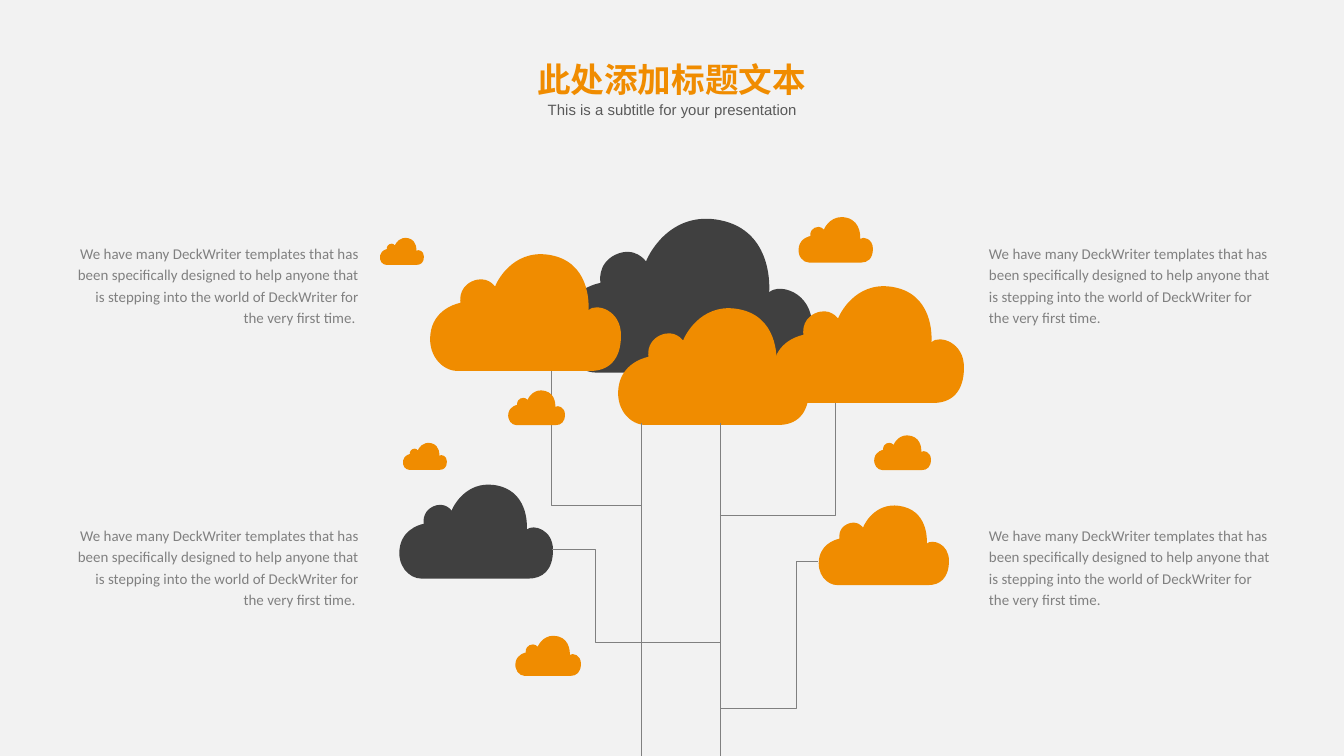
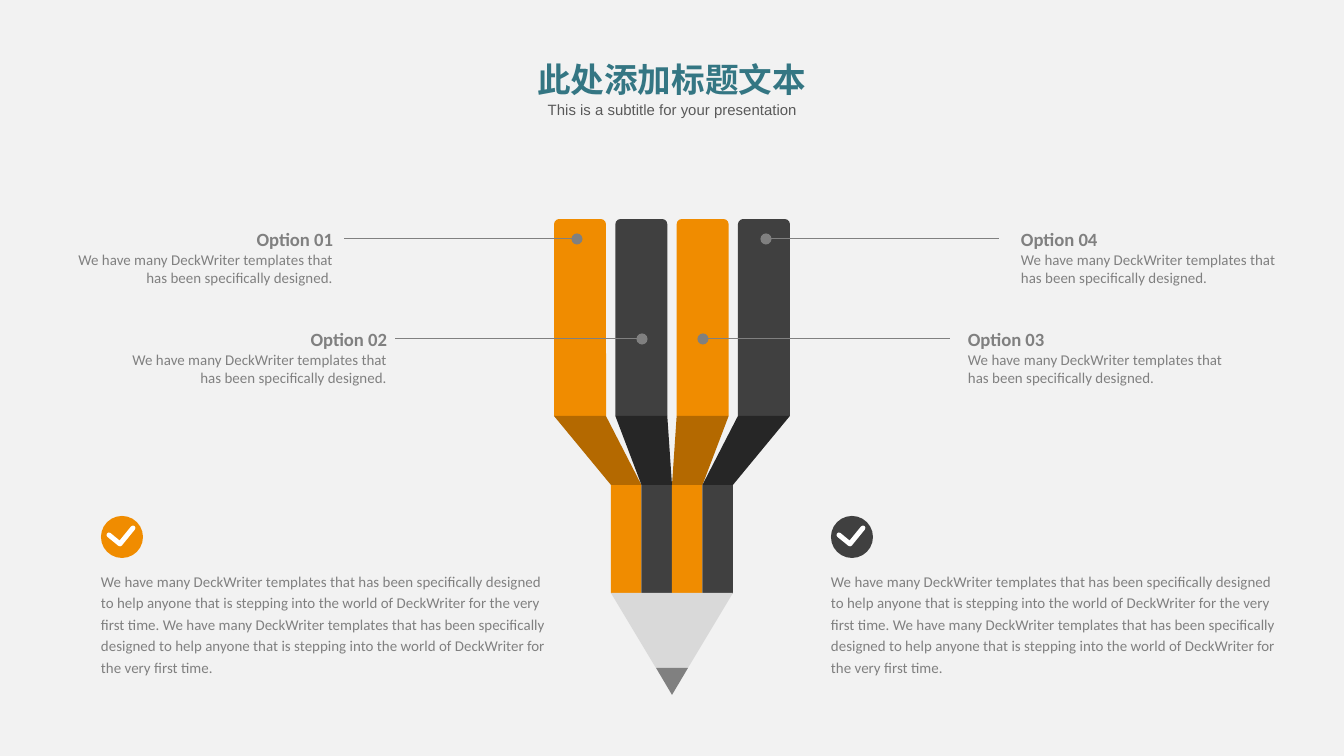
from lxml.etree import SubElement
from pptx import Presentation
from pptx.dml.color import RGBColor
from pptx.enum.shapes import MSO_CONNECTOR as Connector, MSO_SHAPE as Preset
from pptx.enum.text import MSO_AUTO_SIZE as AutoSize, PP_ALIGN as Align
from pptx.oxml.ns import qn
from pptx.util import Pt

PX = 914400 / 134.4
WIDTH, HEIGHT = 1344, 756
CENTER = WIDTH / 2

ORANGE = RGBColor(0xF0, 0x8C, 0x00)
ORANGE_SHADE = RGBColor(0xB4, 0x69, 0x00)
DARK = RGBColor(0x40, 0x40, 0x40)
DARK_SHADE = RGBColor(0x26, 0x26, 0x26)
TEAL = RGBColor(0x34, 0x76, 0x83)
GRAY = RGBColor(0x80, 0x80, 0x80)
SUBTITLE_GRAY = RGBColor(0x59, 0x59, 0x59)
WOOD = RGBColor(0xD9, 0xD9, 0xD9)
BACKGROUND = RGBColor(0xF2, 0xF2, 0xF2)
WHITE = RGBColor(0xFF, 0xFF, 0xFF)

BODY_FONT, TITLE_FONT, SUBTITLE_FONT = "Calibri", "Noto Sans CJK SC", "Arial"

# Content
TITLE = "此处添加标题文本"
SUBTITLE = "This is a subtitle for your presentation"
SHORT_PITCH = "We have many DeckWriter templates that has been specifically designed."
PITCH = ("We have many DeckWriter templates that has been specifically designed to help "
         "anyone that is stepping into the world of DeckWriter for the very first time.")

# Cloud outline: a start point, then three points for each curve
CLOUD_WIDTH = 192
CLOUD_START = (31, 123)
CLOUD_CURVES = [
    (51, 123), (145, 123), (162, 123),
    (179, 123), (192, 113), (192, 88),
    (192, 63), (168, 56), (160, 63),
    (160, 63), (164, 20), (127, 10),
    (89, 0), (71, 32), (68, 40),
    (68, 40), (60, 28), (45, 35),
    (31, 42), (34, 56), (34, 56),
    (34, 56), (10, 60), (5, 83),
    (0, 107), (16, 123), (31, 123),
]
# left, top, width, colour
CLOUDS = [
    (555, 208, 257, DARK), (426, 246, 195, ORANGE), (614, 300, 195, ORANGE),
    (769, 278, 195, ORANGE), (797, 214, 76, ORANGE), (379, 236, 45, ORANGE),
    (402, 441, 45, ORANGE), (873, 433, 58, ORANGE), (396, 478, 157, DARK),
    (816, 500, 133, ORANGE), (514, 633, 67, ORANGE),
]
FRONT_CLOUD = (507, 388, 58, ORANGE)
TRUNK_LEFT, TRUNK_RIGHT, TRUNK_TOP = 641, 720, 423
BRANCHES = [
    [(552, 371), (552, 506), (TRUNK_LEFT, 506)],
    [(TRUNK_RIGHT, 516), (836, 516), (836, 403)],
    [(818, 562), (797, 562), (797, 709), (TRUNK_RIGHT, 709)],
    [(TRUNK_RIGHT, 643), (596, 643), (596, 550), (552, 550)],
]

# label, text left, text top, alignment, leader start and end
OPTIONS = [
    ("Option 01", 68, 228, Align.RIGHT, 577, 344),
    ("Option 02", 122, 328, Align.RIGHT, 642, 395),
    ("Option 04", 1021, 228, Align.LEFT, 766, 999),
    ("Option 03", 968, 328, Align.LEFT, 703, 950),
]
STRIPES = [(ORANGE, ORANGE_SHADE), (DARK, DARK_SHADE)] * 2
CHECKS = [(101, ORANGE), (831, DARK)]


def px(*lengths):
    return [round(length * PX) for length in lengths]


def paint(shape, fill=None, line=None, weight=0.5):
    shape.shadow.inherit = False
    if fill is None:
        shape.fill.background()
    else:
        shape.fill.solid()
        shape.fill.fore_color.rgb = fill
    if line is None:
        shape.line.fill.background()
    else:
        shape.line.color.rgb = line
        shape.line.width = Pt(weight)
    return shape


def add_outline(slide, points, closed=True, **style):
    points = [px(*point) for point in points]
    builder = slide.shapes.build_freeform(*points[0], scale=1.0)
    builder.add_line_segments(points[1:], close=closed)
    return paint(builder.convert_to_shape(), **style)


def add_cloud(slide, left, top, width, color):
    builder = slide.shapes.build_freeform(*CLOUD_START, scale=width * PX / CLOUD_WIDTH)
    builder.add_line_segments(CLOUD_CURVES, close=True)
    cloud = paint(builder.convert_to_shape(*px(left, top)), color)
    # Turn every three straight segments into one Bézier curve
    segments = list(cloud._element.iter(qn("a:lnTo")))
    for first in range(0, len(CLOUD_CURVES), 3):
        curve = segments[first].makeelement(qn("a:cubicBezTo"))
        segments[first].addprevious(curve)
        for segment in segments[first:first + 3]:
            curve.append(segment[0])
            segment.getparent().remove(segment)


def add_line(slide, x1, y1, x2, y2, dot=False):
    connector = slide.shapes.add_connector(Connector.STRAIGHT, *px(x1, y1, x2, y2))
    connector.line.color.rgb = GRAY
    connector.line.width = Pt(0.5)
    if dot:
        SubElement(connector.line._get_or_add_ln(), qn("a:headEnd"), type="oval")
    SubElement(connector._element.spPr, qn("a:effectLst"))


def add_text(slide, box, lines, align=Align.LEFT, font=BODY_FONT, color=GRAY,
             spacing=None, inset=False):
    """Each line is (text, size, bold)."""
    frame = slide.shapes.add_textbox(*px(*box)).text_frame
    frame.word_wrap = True
    frame.auto_size = AutoSize.SHAPE_TO_FIT_TEXT
    if not inset:
        frame.margin_left = frame.margin_right = frame.margin_top = frame.margin_bottom = 0
    for index, (text, size, bold) in enumerate(lines):
        paragraph = frame.add_paragraph() if index else frame.paragraphs[0]
        paragraph.text = text
        paragraph.alignment = align
        if spacing:
            paragraph.line_spacing = spacing
        paragraph.font.size = Pt(size)
        paragraph.font.bold = bold
        paragraph.font.color.rgb = color
        paragraph.font.name = font
        SubElement(paragraph._p.pPr.find(qn("a:defRPr")), qn("a:ea"), typeface=font)


def add_slide(presentation):
    slide = presentation.slides.add_slide(presentation.slide_layouts[6])
    slide.background.fill.solid()
    slide.background.fill.fore_color.rgb = BACKGROUND
    return slide


def add_heading(slide, color):
    add_text(slide, (508, 52, 327, 54), [(TITLE, 18, True)], Align.CENTER,
             TITLE_FONT, color, inset=True)
    add_text(slide, (540, 101, 265, 17), [(SUBTITLE, 8, False)], Align.CENTER,
             SUBTITLE_FONT, SUBTITLE_GRAY)


def build_cloud_tree(slide):
    for left, align, text in [(989, Align.LEFT, PITCH), (74, Align.RIGHT, PITCH + " ")]:
        for top in (241, 523):
            add_text(slide, (left, top, 285, 87), [(text, 8, False)], align, spacing=1.2)
    for cloud in CLOUDS:
        add_cloud(slide, *cloud)
    for x in (TRUNK_LEFT, TRUNK_RIGHT):
        add_line(slide, x, TRUNK_TOP, x, HEIGHT)
    for branch in BRANCHES:
        add_outline(slide, branch, closed=False, line=GRAY)
    add_cloud(slide, *FRONT_CLOUD)
    add_heading(slide, ORANGE)


def add_pencil(slide):
    top, fold, neck, wood, lead, tip = 219, 416, 485, 593, 668, 695
    body, stripe, neck_width, lead_width = 236, 52, 122, 32
    step, strip = (body - stripe) / 3, neck_width / 4
    left, neck_left = CENTER - body / 2, CENTER - neck_width / 2
    neck_right = neck_left + neck_width
    lead_left, lead_right = CENTER - lead_width / 2, CENTER + lead_width / 2
    bars, strips, folds = [], [], []
    for index, (color, shade) in enumerate(STRIPES):
        x, n = left + index * step, neck_left + index * strip
        bar = slide.shapes.add_shape(Preset.ROUND_2_SAME_RECTANGLE,
                                     *px(x, top, stripe, fold - top))
        bar.adjustments[0] = 0.1
        bars.append(paint(bar, color))
        strips.append(add_outline(slide, [
            (n, neck), (n + strip, neck), (n + strip, wood),
            (n + strip / 2, wood + strip / 2), (n, wood)], fill=color))
        folds.append(add_outline(slide, [
            (x, fold), (x + stripe, fold), (n + strip, neck), (n, neck)], fill=shade))
    point = [
        add_outline(slide, [(neck_left, wood), (neck_right, wood),
                            (lead_right, lead), (lead_left, lead)], fill=WOOD),
        add_outline(slide, [(lead_left, lead), (lead_right, lead), (CENTER, tip)], fill=GRAY),
    ]
    slide.shapes.add_group_shape(bars + strips + folds + point)


def add_check(slide, left, top, color):
    disc = paint(slide.shapes.add_shape(Preset.OVAL, *px(left, top, 42, 42)), color)
    ticks = [(left + dx, top + dy) for dx, dy in [(8, 19), (19, 28), (32, 12)]]
    tick = add_outline(slide, ticks, closed=False, fill=color, line=WHITE, weight=2.63)
    tick.line._get_or_add_ln().set("cap", "rnd")
    slide.shapes.add_group_shape([disc, tick])


def build_pencil(slide):
    add_pencil(slide)
    for left, color in CHECKS:
        add_check(slide, left, 516, color)
        add_text(slide, (left, 569, 456, 109), [(f"{PITCH} {PITCH}", 8, False)], spacing=1.2)
    for label, left, top, align, start, end in OPTIONS:
        add_text(slide, (left, top, 265, 58),
                 [(label, 10, True), (SHORT_PITCH, 8, False)], align)
        add_line(slide, start, top + 11, end, top + 11, dot=True)
    add_heading(slide, TEAL)


def main():
    presentation = Presentation()
    presentation.slide_width, presentation.slide_height = px(WIDTH, HEIGHT)
    for build in (build_cloud_tree, build_pencil):
        build(add_slide(presentation))
    presentation.save("out.pptx")


if __name__ == "__main__":
    main()
